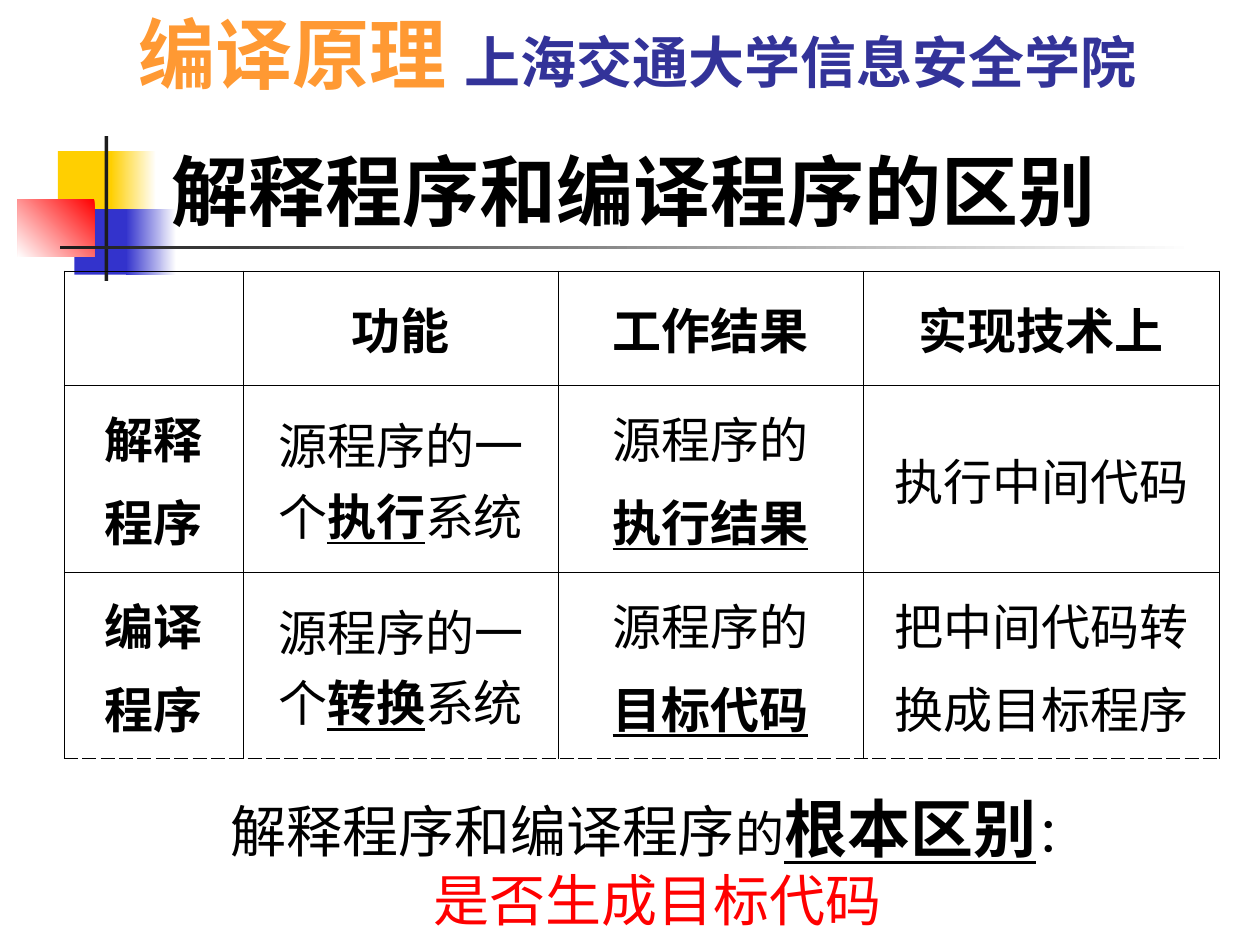
"""Build a slide that compares interpreters with compilers."""
from dataclasses import dataclass
from typing import Optional

from lxml.etree import SubElement
from pptx import Presentation
from pptx.dml.color import RGBColor
from pptx.enum.shapes import MSO_SHAPE as Shape
from pptx.enum.text import MSO_ANCHOR as Anchor, MSO_AUTO_SIZE as AutoSize, PP_ALIGN as Align
from pptx.oxml.ns import qn
from pptx.util import Inches, Pt

BLACK = "000000"
YELLOW, BLUE, RED, WHITE, CHARCOAL = "FFCF01", "3333CC", "FF0000", "FFFFFF", "1C1C1C"


@dataclass(frozen=True)
class Ornament:
    left: float
    top: float
    width: float
    height: float
    color: str
    fade_to: Optional[str] = None
    angle: float = 0


@dataclass(frozen=True)
class Phrase:
    text: str
    bold: bool = False
    underline: bool = False


ORNAMENTS = [
    Ornament(0.46, 1.2, 0.48, 0.52, YELLOW),
    Ornament(0.88, 1.2, 0.36, 0.52, WHITE, YELLOW, 180),
    Ornament(0.59, 1.66, 0.46, 0.52, BLUE),
    Ornament(1, 1.66, 0.4, 0.52, WHITE, BLUE, 180),
    Ornament(0.14, 1.58, 0.61, 0.46, RED, WHITE, 225),
    Ornament(0.83, 1.08, 0.03, 1.15, CHARCOAL),
    Ornament(0.48, 1.95, 9, 0.03, WHITE, CHARCOAL, 180),
]

COLUMN_WIDTHS = [1.42, 2.5, 2.42, 2.83]
ROW_HEIGHTS = [0.91, 1.48, 1.48]


def heading(*lines: str) -> list[list[Phrase]]:
    """Return bold lines for a heading cell."""
    return [[Phrase(line, bold=True)] for line in lines]


def plain(*lines: str) -> list[list[Phrase]]:
    """Return regular lines for a body cell."""
    return [[Phrase(line)] for line in lines]


def function_cell(action: str) -> list[list[Phrase]]:
    """Return the sentence that names what the program does."""
    return [[Phrase("源程序的一个"), Phrase(action, True, True), Phrase("系统")]]


def result_cell(result: str) -> list[list[Phrase]]:
    """Return the two lines that name what the program yields."""
    return [[Phrase("源程序的")], [Phrase(result, True, True)]]


COMPARISON = [
    [[], heading("功能"), heading("工作结果"), heading("实现技术上")],
    [heading("解释", "程序"), function_cell("执行"), result_cell("执行结果"),
     plain("执行中间代码")],
    [heading("编译", "程序"), function_cell("转换"), result_cell("目标代码"),
     plain("把中间代码转", "换成目标程序")],
]


def rgb(color: str) -> RGBColor:
    """Turn a hex string into a colour."""
    return RGBColor.from_string(color)


def add_text(paragraph, text: str, *, size: float, color: str = BLACK, bold: bool = False,
             underline: bool = False, font: str = "Roboto") -> None:
    """Append a formatted run to a paragraph."""
    run = paragraph.add_run()
    run.text = text
    run.font.name = font
    run.font.size = Pt(size)
    run.font.bold = bold
    run.font.underline = underline
    run.font.color.rgb = rgb(color)


def add_ornament(slide, ornament: Ornament) -> None:
    """Draw one solid or fading rectangle."""
    block = slide.shapes.add_shape(
        Shape.RECTANGLE, Inches(ornament.left), Inches(ornament.top),
        Inches(ornament.width), Inches(ornament.height))
    block.shadow.inherit = False
    block.line.fill.background()
    if ornament.fade_to is None:
        block.fill.solid()
        block.fill.fore_color.rgb = rgb(ornament.color)
        return
    block.fill.gradient()
    block.fill.gradient_angle = ornament.angle
    for stop, color in zip(block.fill.gradient_stops, (ornament.color, ornament.fade_to)):
        stop.color.rgb = rgb(color)


def add_text_frame(slide, left: float, top: float, width: float, height: float):
    """Add a wrapping text box and return its frame."""
    frame = slide.shapes.add_textbox(
        Inches(left), Inches(top), Inches(width), Inches(height)).text_frame
    frame.word_wrap = True
    frame.auto_size = AutoSize.SHAPE_TO_FIT_TEXT
    return frame


def set_borders(cell, bottom_dash: str) -> None:
    """Give a cell thin black borders."""
    properties = cell._tc.get_or_add_tcPr()
    dashes = {"a:lnL": "solid", "a:lnR": "solid", "a:lnT": "solid", "a:lnB": bottom_dash}
    for position, (tag, dash) in enumerate(dashes.items()):
        line = SubElement(properties, qn(tag), w=str(Pt(0.45)))
        SubElement(SubElement(line, qn("a:solidFill")), qn("a:srgbClr"), val=BLACK)
        SubElement(line, qn("a:prstDash"), val=dash)
        properties.insert(position, line)


def fill_cell(cell, lines: list[list[Phrase]], bottom_dash: str) -> None:
    """Write and format one table cell."""
    cell.fill.background()
    cell.vertical_anchor = Anchor.MIDDLE
    set_borders(cell, bottom_dash)
    frame = cell.text_frame
    for index, phrases in enumerate(lines):
        paragraph = frame.add_paragraph() if index else frame.paragraphs[0]
        paragraph.alignment = Align.CENTER
        if index:
            paragraph.space_before = Pt(7)
        for phrase in phrases:
            add_text(paragraph, phrase.text, size=28, bold=phrase.bold,
                     underline=phrase.underline)


def add_comparison(slide) -> None:
    """Add the comparison table."""
    table = slide.shapes.add_table(
        len(ROW_HEIGHTS), len(COLUMN_WIDTHS), Inches(0.51), Inches(2.15),
        Inches(sum(COLUMN_WIDTHS)), Inches(sum(ROW_HEIGHTS))).table
    table.first_row = False
    table.horz_banding = False
    for column, width in zip(table.columns, COLUMN_WIDTHS):
        column.width = Inches(width)
    for row, height, contents in zip(table.rows, ROW_HEIGHTS, COMPARISON):
        row.height = Inches(height)
        bottom_dash = "dash" if contents is COMPARISON[-1] else "solid"
        for cell, lines in zip(row.cells, contents):
            fill_cell(cell, lines, bottom_dash)


def add_title(slide) -> None:
    """Place the title in front of the ornaments."""
    title = slide.shapes.title
    slide.shapes._spTree.append(title._element)
    title.left, title.top = Inches(1.26), Inches(0.67)
    title.width, title.height = Inches(8.52), Inches(1.25)
    frame = title.text_frame
    frame.auto_size = AutoSize.NONE
    frame.vertical_anchor = Anchor.BOTTOM
    frame.paragraphs[0].alignment = Align.LEFT
    add_text(frame.paragraphs[0], "解释程序和编译程序的区别", size=44, bold=True)


def add_conclusion(slide) -> None:
    """Add the closing statement below the table."""
    frame = add_text_frame(slide, 0.76, 6.22, 8.92, 1.24)
    difference, answer = frame.paragraphs[0], frame.add_paragraph()
    difference.alignment = answer.alignment = Align.CENTER
    serif = "Times New Roman"
    add_text(difference, "解释程序和编译程序", size=32, font=serif)
    add_text(difference, "的", size=28, font=serif)
    add_text(difference, "根本区别", size=36, bold=True, underline=True, font=serif)
    add_text(difference, "：", size=28, font=serif)
    add_text(answer, "是否生成目标代码", size=32, color=RED, font=serif)


def main() -> None:
    """Build and save the slide."""
    deck = Presentation()
    deck.slide_width, deck.slide_height = Inches(10), Inches(7.5)
    slide = deck.slides.add_slide(deck.slide_layouts[5])
    for ornament in ORNAMENTS:
        add_ornament(slide, ornament)
    course = add_text_frame(slide, 1, 0, 9, 0.84).paragraphs[0]
    add_text(course, "编译原理 ", size=44, color="FF9933", bold=True)
    add_text(course, "上海交通大学信息安全学院", size=32, color="333399", bold=True)
    add_title(slide)
    add_comparison(slide)
    add_conclusion(slide)
    deck.save("out.pptx")


if __name__ == "__main__":
    main()
